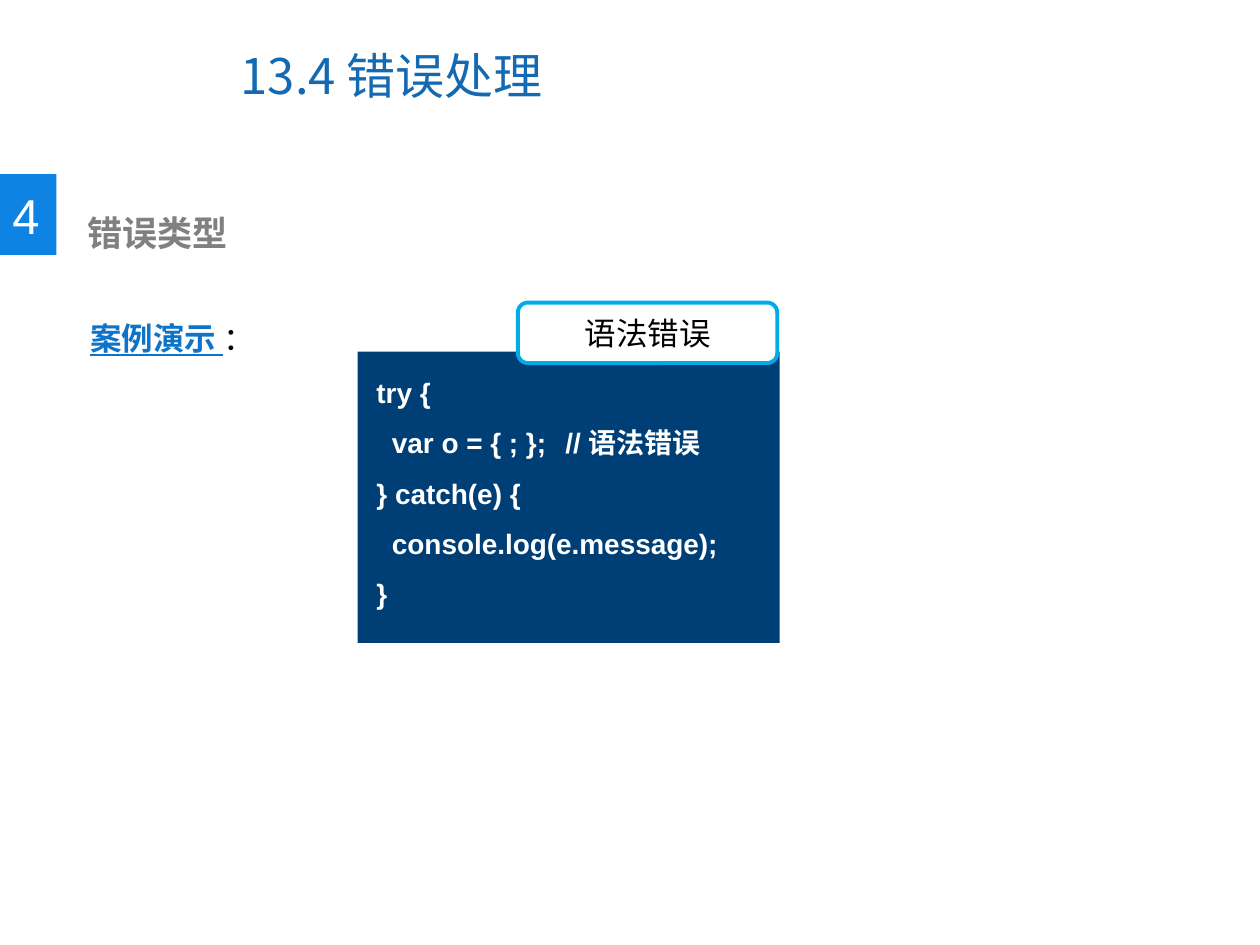
"""Build the slide on error types with a syntax error example."""
from dataclasses import dataclass
from typing import Optional

from pptx import Presentation
from pptx.dml.color import RGBColor as Rgb
from pptx.enum.shapes import MSO_SHAPE as Kind
from pptx.enum.text import MSO_ANCHOR as Anchor, PP_ALIGN as Align
from pptx.util import Cm, Pt


@dataclass(frozen=True)
class Theme:
    latin: str = "Arial"
    cjk: str = "Noto Sans CJK SC"
    title: str = "1369B2"
    badge: str = "0F83E3"
    link: str = "0D74C9"
    head: str = "808080"
    panel: str = "003F75"
    edge: str = "00ACE6"
    white: str = "FFFFFF"
    black: str = "000000"
    big: int = 28
    mid: int = 20
    body: int = 18
    code: int = 16


@dataclass(frozen=True)
class Box:
    left: float
    top: float
    width: float
    height: float

    def cm(self) -> tuple:
        return tuple(Cm(n) for n in (self.left, self.top, self.width, self.height))


@dataclass(frozen=True)
class Block:
    box: Box
    fill: str
    kind: Kind = Kind.RECTANGLE
    line: Optional[str] = None


@dataclass(frozen=True)
class Label:
    box: Box
    lines: tuple
    size: int
    color: str
    bold: bool = False
    space: float = 1.0
    wrap: bool = True


T = Theme()
TITLE = Box(4.6, 0.43, 13.11, 2.16)
BADGE = Block(Box(0, 3.51, 1.14, 1.63), T.badge)
PANEL = Block(Box(7.21, 7.09, 8.51, 5.87), T.panel)
TAG = Block(Box(10.44, 6.1, 5.23, 1.22), T.white, Kind.ROUNDED_RECTANGLE, T.edge)
NUMBER = Label(Box(0, 3.61, 1.07, 1.45), ("4",), T.big, T.white, wrap=False)
HEAD = Label(Box(1.52, 4.14, 12.73, 1.12), ("错误类型",), T.mid, T.head, True)
DEMO = Label(Box(1.57, 5.54, 21.97, 1.8), ("案例演示 ",), T.body, T.link, True, 2.0)
CODE = Label(
    Box(7.34, 7.11, 9.37, 5.38),
    (
        "try {",
        "  var o = { ; };\t// 语法错误",
        "} catch(e) {",
        "  console.log(e.message);",
        "}",
    ),
    T.code, T.white, True, 1.5,
)


def style(font, size: int, color: str, bold: bool = False, name: str = T.latin) -> None:
    """Set the face, size, weight and colour of a font."""
    font.name, font.size, font.bold = name, Pt(size), bold
    font.color.rgb = Rgb.from_string(color)


def block(slide, item: Block):
    """Draw a filled shape with an optional outline."""
    shape = slide.shapes.add_shape(item.kind, *item.box.cm())
    shape.shadow.inherit = False
    shape.fill.solid()
    shape.fill.fore_color.rgb = Rgb.from_string(item.fill)
    if item.line:
        shape.line.color.rgb = Rgb.from_string(item.line)
        shape.line.width = Pt(2.25)
    else:
        shape.line.fill.background()
    return shape


def label(slide, item: Label):
    """Draw a text box with one paragraph for each line."""
    frame = slide.shapes.add_textbox(*item.box.cm()).text_frame
    frame.word_wrap = item.wrap
    for i, line in enumerate(item.lines):
        para = frame.add_paragraph() if i else frame.paragraphs[0]
        para.add_run().text = line
        para.line_spacing = item.space
        style(para.font, item.size, item.color, item.bold)
    return frame


def title(slide) -> None:
    """Place and fill the title."""
    shape = slide.shapes.title
    shape.left, shape.top, shape.width, shape.height = TITLE.cm()
    frame = shape.text_frame
    frame.vertical_anchor = Anchor.MIDDLE
    para = frame.paragraphs[0]
    para.alignment = Align.LEFT
    for text, name in (("13.4 ", T.cjk), ("错误处理", T.latin)):
        run = para.add_run()
        run.text = text
        style(run.font, T.big, T.title, name=name)


def demo(slide) -> None:
    """Draw the underlined demo caption and its plain colon."""
    para = label(slide, DEMO).paragraphs[0]
    para.runs[0].font.underline = True
    colon = para.add_run()
    colon.text = "："
    style(colon.font, T.body, T.black)


def tag(slide) -> None:
    """Draw the rounded tag over the code panel."""
    frame = block(slide, TAG).text_frame
    frame.vertical_anchor = Anchor.MIDDLE
    para = frame.paragraphs[0]
    para.text = "语法错误"
    para.alignment = Align.CENTER
    style(para.font, T.body, T.black)


def main() -> None:
    """Build and save the deck."""
    deck = Presentation()
    deck.slide_width, deck.slide_height = Cm(25.4), Cm(19.05)
    slide = deck.slides.add_slide(deck.slide_layouts[5])
    demo(slide)
    title(slide)
    block(slide, BADGE)
    label(slide, NUMBER)
    label(slide, HEAD)
    block(slide, PANEL)
    label(slide, CODE)
    tag(slide)
    deck.save("out.pptx")


if __name__ == "__main__":
    main()
